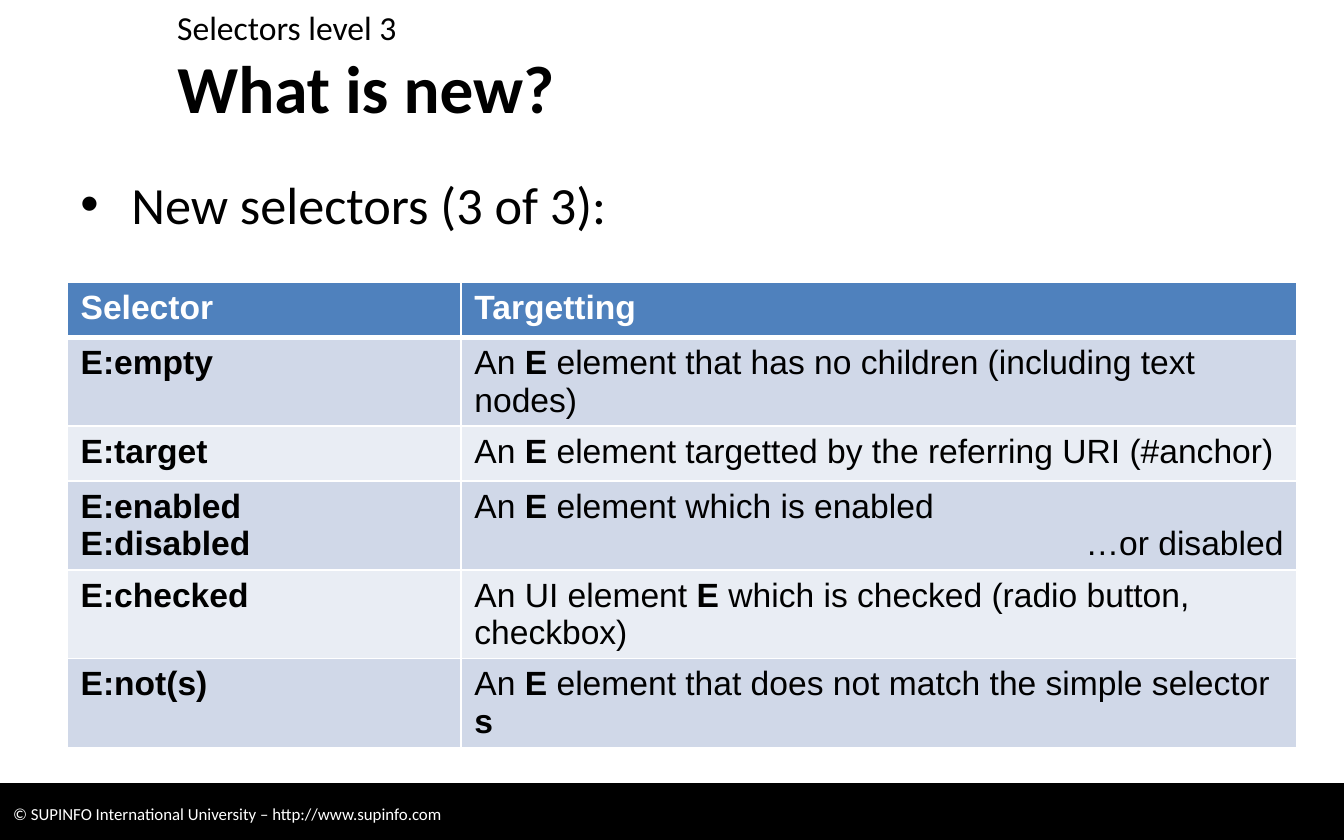
from dataclasses import dataclass

from lxml.etree import SubElement
from pptx import Presentation
from pptx.dml.color import RGBColor
from pptx.enum.shapes import MSO_SHAPE
from pptx.enum.text import MSO_ANCHOR, MSO_AUTO_SIZE, PP_ALIGN
from pptx.oxml.ns import qn
from pptx.util import Emu, Pt

PX = 9144
COLORS = {
    "black": "000000",
    "white": "FFFFFF",
    "header": "4F81BD",
    "odd": "D0D8E8",
    "even": "E9EDF4",
}


@dataclass
class Box:
    left: int
    top: int
    width: int
    height: int

    def lengths(self) -> list[Emu]:
        return [px(value) for value in (self.left, self.top, self.width, self.height)]


@dataclass
class Style:
    size: int
    font: str = "Calibri"
    color: str = "black"
    bold: bool = False


@dataclass
class SelectorRow:
    selector: str
    target: str
    right_note: str = ""


HEADER = SelectorRow("Selector", "Targetting")
ROWS = [
    SelectorRow("E:empty", "An *E* element that has no children (including text nodes)"),
    SelectorRow("E:target", "An *E* element targetted by the referring URI (#anchor)"),
    SelectorRow("E:enabled\vE:disabled", "An *E* element which is enabled", "…or disabled"),
    SelectorRow("E:checked", "An UI element *E *which is checked (radio button, checkbox)"),
    SelectorRow("E:not(s)", "An *E *element that does not match the simple selector *s*"),
]
TABLE_BOX = Box(50, 210, 915, 246)
COLUMN_WIDTHS = (293, 622)
ROW_HEIGHT = 41


def px(value: int) -> Emu:
    return Emu(value * PX)


def rgb(name: str) -> RGBColor:
    return RGBColor.from_string(COLORS[name])


def style_run(span, style: Style) -> None:
    span.font.name = style.font
    span.font.size = Pt(style.size)
    span.font.bold = style.bold
    span.font.color.rgb = rgb(style.color)


def write(shape, text: str, style: Style, anchor=MSO_ANCHOR.TOP):
    frame = shape.text_frame
    frame.text = text
    frame.word_wrap = True
    frame.auto_size = MSO_AUTO_SIZE.NONE
    frame.vertical_anchor = anchor
    para = frame.paragraphs[0]
    para.alignment = PP_ALIGN.LEFT
    for span in para.runs:
        style_run(span, style)
    return para


def add_text(page, box: Box, text: str, style: Style):
    return write(page.shapes.add_textbox(*box.lengths()), text, style)


def add_bullet(para, indent: int) -> None:
    properties = para._p.get_or_add_pPr()
    properties.set("marL", str(px(indent)))
    properties.set("indent", str(px(-indent)))
    SubElement(properties, qn("a:buFont"), typeface="Arial")
    SubElement(properties, qn("a:buChar"), char="•")


def write_marked(para, text: str, color: str, bold: bool = False) -> None:
    for index, part in enumerate(text.split("*")):
        if part:
            span = para.add_run()
            span.text = part
            style_run(span, Style(18, "Arial", color, bold or index % 2 == 1))


def set_borders(cell, top: int, bottom: int) -> None:
    properties = cell._tc.get_or_add_tcPr()
    widths = {"a:lnL": 1, "a:lnR": 1, "a:lnT": top, "a:lnB": bottom}
    for tag, width in widths.items():
        line = SubElement(properties, qn(tag), w=str(Pt(width)))
        fill = SubElement(line, qn("a:solidFill"))
        SubElement(fill, qn("a:srgbClr"), val=COLORS["white"])


def fill_row(table, index: int, row: SelectorRow) -> None:
    header = index == 0
    color = "white" if header else "black"
    background = "header" if header else "odd" if index % 2 else "even"
    selector, target = table.cell(index, 0), table.cell(index, 1)
    for cell in (selector, target):
        set_borders(cell, 3 if index == 1 else 1, 3 if header else 1)
        cell.fill.solid()
        cell.fill.fore_color.rgb = rgb(background)
    selector_para = selector.text_frame.paragraphs[0]
    selector_para.text = row.selector
    for span in selector_para.runs:
        style_run(span, Style(18, "Arial", color, True))
    write_marked(target.text_frame.paragraphs[0], row.target, color, header)
    if row.right_note:
        note = target.text_frame.add_paragraph()
        note.alignment = PP_ALIGN.RIGHT
        write_marked(note, row.right_note, color)


def add_selector_table(page) -> None:
    rows = [HEADER, *ROWS]
    table = page.shapes.add_table(len(rows), len(COLUMN_WIDTHS), *TABLE_BOX.lengths()).table
    for column, width in zip(table.columns, COLUMN_WIDTHS):
        column.width = px(width)
    for index, row in enumerate(rows):
        table.rows[index].height = px(ROW_HEIGHT)
        fill_row(table, index, row)


def add_footer(page) -> None:
    bar = page.shapes.add_shape(MSO_SHAPE.RECTANGLE, *Box(0, 583, 1000, 45).lengths())
    bar.shadow.inherit = False
    bar.fill.solid()
    bar.fill.fore_color.rgb = rgb("black")
    bar.line.color.rgb = rgb("black")
    bar.line.width = Pt(0.75)
    text = "© SUPINFO International University – http://www.supinfo.com"
    write(bar, text, Style(9, color="white"), MSO_ANCHOR.MIDDLE)


def main() -> None:
    deck = Presentation()
    deck.slide_width, deck.slide_height = px(1000), px(625)
    page = deck.slides.add_slide(deck.slide_layouts[5])
    add_footer(page)
    title = page.shapes.title
    title.left, title.top, title.width, title.height = Box(122, 37, 850, 55).lengths()
    write(title, "What is new?", Style(36, bold=True), MSO_ANCHOR.MIDDLE)
    bullet = add_text(page, Box(50, 123, 923, 463), "New selectors (3 of 3):", Style(28))
    add_bullet(bullet, 38)
    add_text(page, Box(122, 0, 851, 37), "Selectors level 3", Style(18))
    add_selector_table(page)
    deck.save("out.pptx")


if __name__ == "__main__":
    main()
